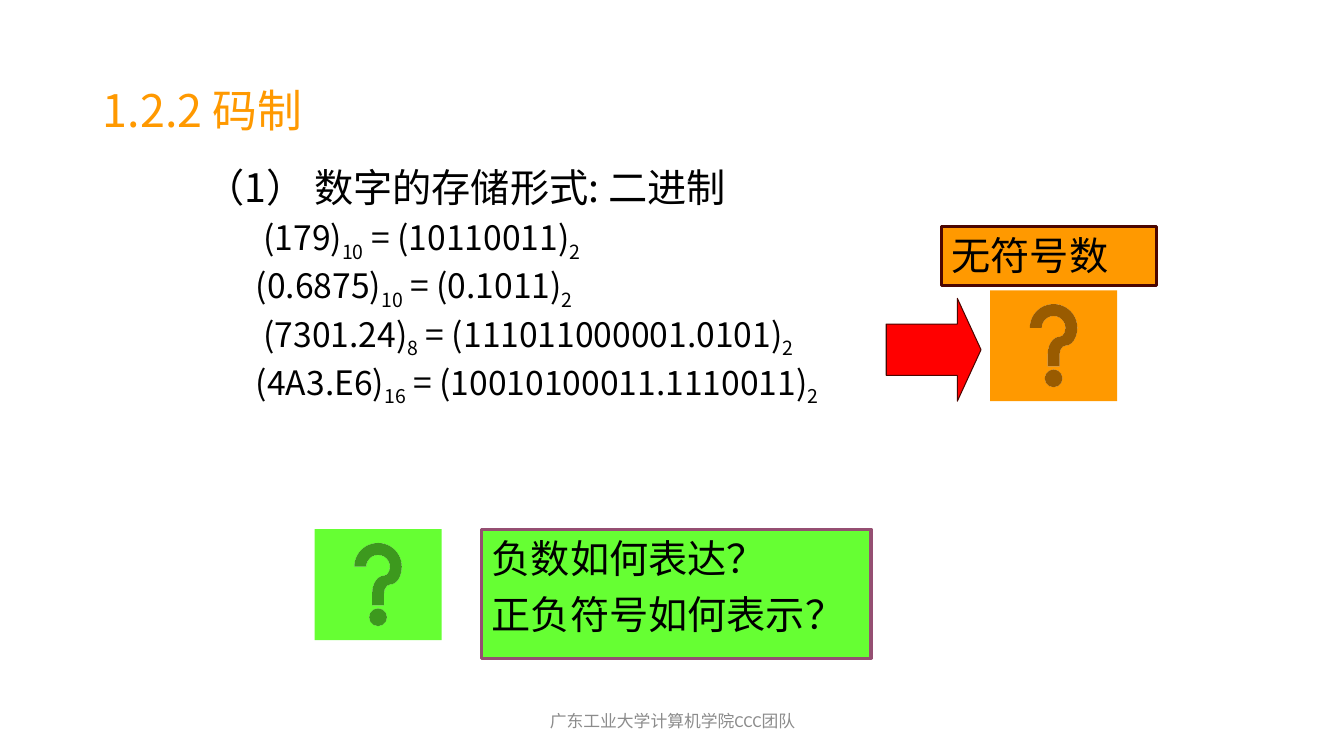
from pptx import Presentation
from pptx.dml.color import RGBColor
from pptx.enum.shapes import MSO_SHAPE as Shape
from pptx.enum.text import MSO_ANCHOR as Anchor, PP_ALIGN as Align
from pptx.oxml.ns import qn
from pptx.util import Inches, Pt
from lxml import etree

COLORS = {
    "orange": "FF9900", "green": "66FF33", "red": "FF0000", "maroon": "4B0601",
    "plum": "954F72", "black": "000000", "gray": "8C8C8C",
}
CJK_FONT = "Noto Sans CJK SC"
BUTTON_SIZE = (1.26, 1.1)
# value, base, binary value, indent of the line's start
CONVERSIONS = [
    (" (179)", "10", "(10110011)"),
    ("(0.6875)", "10", "(0.1011)"),
    (" (7301.24)", "8", "(111011000001.0101)"),
    ("(4A3.E6)", "16", "(10010100011.1110011)"),
]


def color(name):
    return RGBColor.from_string(COLORS[name])


def style(paragraph, size, color_name="black", font_name=CJK_FONT):
    font = paragraph.font
    font.size, font.name = Pt(size), font_name
    font.color.rgb = color(color_name)
    properties = paragraph._p.pPr.find(qn("a:defRPr"))
    east_asian = etree.SubElement(properties, qn("a:ea"))
    east_asian.set("typeface", CJK_FONT)


def set_lines(frame, lines, size, gap=0):
    for index, line in enumerate(lines):
        paragraph = frame.paragraphs[0] if index == 0 else frame.add_paragraph()
        paragraph.text = line
        paragraph.alignment = Align.LEFT
        paragraph.space_before = Pt(gap if index else 0)
        style(paragraph, size)


def add_text_box(slide, box):
    frame = slide.shapes.add_textbox(*map(Inches, box)).text_frame
    frame.word_wrap = True
    return frame


def add_filled_shape(slide, kind, box, fill, line=None, line_width=0):
    shape = slide.shapes.add_shape(kind, *map(Inches, box))
    shape.shadow.inherit = False
    shape.fill.solid()
    shape.fill.fore_color.rgb = color(fill)
    if line:
        shape.line.color.rgb = color(line)
        shape.line.width = Pt(line_width)
    else:
        shape.line.fill.background()
    return shape


def add_label(slide, box, lines, fill, line):
    shape = add_filled_shape(slide, Shape.RECTANGLE, box, fill, line, 2.25)
    shape.text_frame.vertical_anchor = Anchor.TOP
    set_lines(shape.text_frame, lines, 28, gap=6.5)


def add_title(slide, box):
    title = slide.shapes.title
    title.left, title.top, title.width, title.height = map(Inches, box)
    frame = title.text_frame
    frame.text = "1.2.2 码制"
    frame.vertical_anchor = Anchor.MIDDLE
    paragraph = frame.paragraphs[0]
    paragraph.alignment = Align.LEFT
    paragraph.line_spacing = 0.9
    style(paragraph, 32, "orange")


def add_conversions(slide, box):
    frame = add_text_box(slide, box)
    set_lines(frame, ["（1） 数字的存储形式: 二进制"], 28)
    heading = frame.paragraphs[0]
    heading.line_spacing, heading.space_before = 0.9, Pt(10)
    for value, base, binary in CONVERSIONS:
        paragraph = frame.add_paragraph()
        paragraph.line_spacing, paragraph.space_before = 0.9, Pt(5)
        properties = paragraph._p.get_or_add_pPr()
        properties.set("marL", str(Inches(0.75)))
        properties.set("indent", str(Inches(-0.25)))
        style(paragraph, 24)
        parts = [(value, False), (base, True), (f" = {binary}", False), ("2", True)]
        for text, is_subscript in parts:
            run = paragraph.add_run()
            run.text = text
            if is_subscript:
                run._r.get_or_add_rPr().set("baseline", "-25000")


def add_unsigned_note(slide, box):
    """Arrow to a help button, with a label above them."""
    left, top, width, height = box
    button_width, button_height = BUTTON_SIZE
    button_top = top + height - button_height
    add_label(slide, (left + 0.55, top, width - 0.55, 0.58), ["无符号数"],
              "orange", "maroon")
    arrow = add_filled_shape(slide, Shape.RIGHT_ARROW,
                             (left, button_top + 0.08, 0.94, 1.02),
                             "red", "maroon", 0.75)
    arrow.adjustments[0], arrow.adjustments[1] = 0.5, 0.25
    add_filled_shape(slide, Shape.ACTION_BUTTON_HELP,
                     (left + 1.03, button_top, button_width, button_height), "orange")


def add_questions(slide, box):
    left, top, width, height = box
    add_filled_shape(slide, Shape.ACTION_BUTTON_HELP,
                     (left, top, *BUTTON_SIZE), "green")
    label_offset = BUTTON_SIZE[0] + 0.4
    add_label(slide, (left + label_offset, top, width - label_offset, height),
              ["负数如何表达？", "正负符号如何表示？"], "green", "plum")


def add_footer(slide, box):
    frame = add_text_box(slide, box)
    frame.vertical_anchor = Anchor.MIDDLE
    paragraph = frame.paragraphs[0]
    paragraph.text = "广东工业大学计算机学院CCC团队"
    paragraph.alignment = Align.CENTER
    style(paragraph, 12, "gray", "Calibri")


def main():
    presentation = Presentation()
    presentation.slide_width, presentation.slide_height = Inches(13.33), Inches(7.5)
    slide = presentation.slides.add_slide(presentation.slide_layouts[5])
    add_title(slide, (0.92, 0.4, 11.5, 1.45))
    add_conversions(slide, (1.94, 1.62, 6.85, 3.39))
    add_unsigned_note(slide, (8.79, 2.25, 2.68, 1.73))
    add_questions(slide, (3.12, 5.25, 5.52, 1.28))
    add_footer(slide, (4.42, 6.95, 4.5, 0.4))
    presentation.save("out.pptx")


if __name__ == "__main__":
    main()
